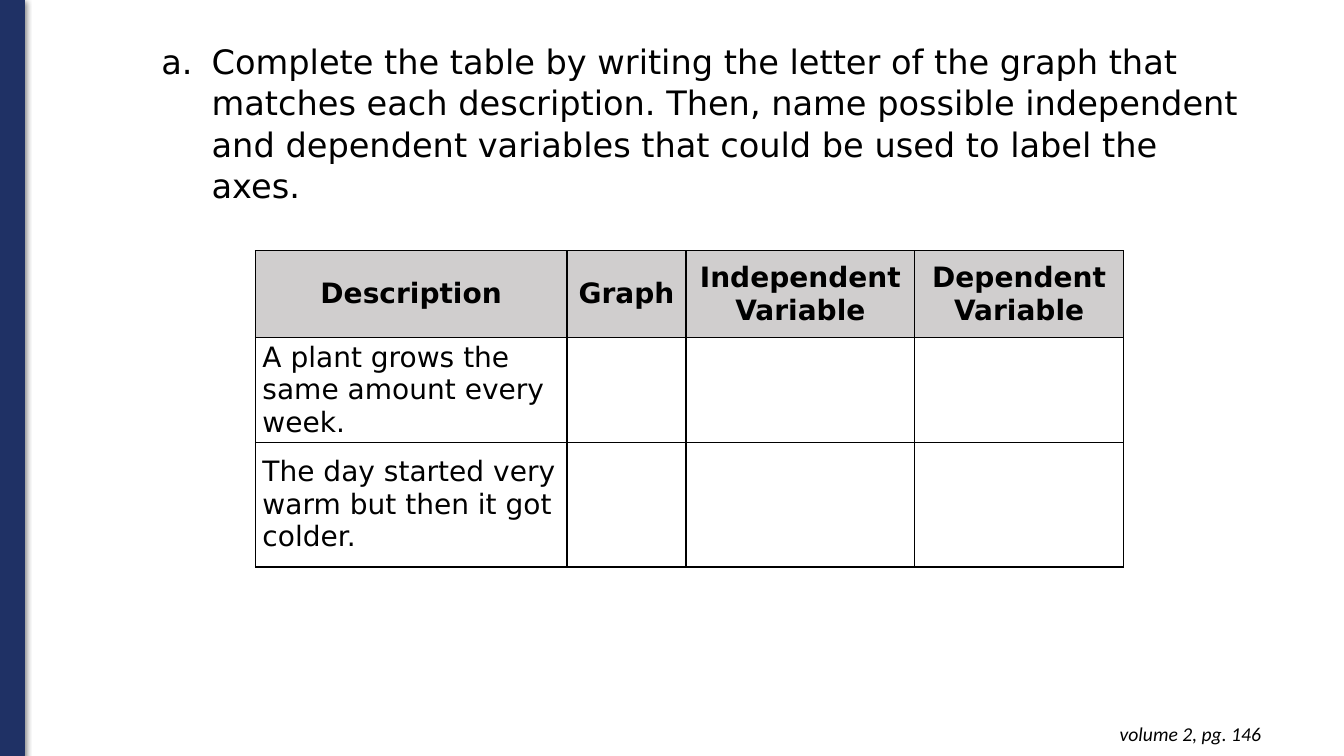
"""Build the slide with a task, a table to fill in and a page note."""
import pptx
import pptx.util
import pptx.oxml
import pptx.dml.color
import pptx.enum.text
import pptx.enum.shapes

Pt = pptx.util.Pt
Align = pptx.enum.text.PP_ALIGN
Anchor = pptx.enum.text.MSO_ANCHOR
Grow = pptx.enum.text.MSO_AUTO_SIZE.SHAPE_TO_FIT_TEXT
NS = 'xmlns:a="http://schemas.openxmlformats.org/drawingml/2006/main"'
SANS = "DejaVu Sans"
NAVY, BLACK, GREY, WHITE = "1F3165", "000000", "D0CECE", "FFFFFF"
WIDTHS = [222.5, 85, 163.5, 149]
HEIGHTS = [62, 75, 89]
ROWS = [
    ["Description", "Graph", "Independent Variable", "Dependent Variable"],
    ["A plant grows the same amount every week.", "", "", ""],
    ["The day started very warm but then it got colder.", "", "", ""],
]
TASK = ("Complete the table by writing the letter of the graph that matches "
        "each description. Then, name possible independent and dependent "
        "variables that could be used to label the axes.")


def tint(code):
    """Return the colour for a hex string."""
    return pptx.dml.color.RGBColor.from_string(code)


def append(parent, xml):
    """Append an element, given as text, to its parent."""
    parent.append(pptx.oxml.parse_xml(xml))


def style(para, face, size, bold=False, slant=False):
    """Format the runs of a paragraph."""
    for run in para.runs:
        font = run.font
        font.name, font.size = face, Pt(size)
        font.bold, font.italic = bold, slant
        font.color.rgb = tint(BLACK)


def draw_bar(slide, box):
    """Draw the navy side bar with its soft shadow."""
    kind = pptx.enum.shapes.MSO_SHAPE.RECTANGLE
    bar = slide.shapes.add_shape(kind, *map(Pt, box))
    bar.fill.solid()
    bar.fill.fore_color.rgb = tint(NAVY)
    bar.line.color.rgb = tint(NAVY)
    bar.line.width = Pt(0.75)
    append(bar.element.spPr,
           f'<a:effectLst {NS}><a:outerShdw blurRad="{Pt(4.5)}" '
           f'dist="{Pt(1.5)}" dir="5400000" rotWithShape="0">'
           f'<a:srgbClr val="{BLACK}"><a:alpha val="50000"/></a:srgbClr>'
           '</a:outerShdw></a:effectLst>')


def write_task(slide, box):
    """Put the lettered task into the body placeholder."""
    body = slide.placeholders[1]
    body.left, body.top, body.width, body.height = map(Pt, box)
    frame = body.text_frame
    frame.text = TASK
    frame.word_wrap = True
    frame.auto_size = Grow
    frame.vertical_anchor = Anchor.TOP
    para = frame.paragraphs[0]
    props = para._p.get_or_add_pPr()
    props.set("marL", str(Pt(72)))
    props.set("indent", str(Pt(-36)))
    append(props, f'<a:buClr {NS}><a:srgbClr val="{BLACK}"/></a:buClr>')
    append(props, f'<a:buFont {NS} typeface="{SANS}"/>')
    append(props, f'<a:buAutoNum {NS} type="alphaLcPeriod"/>')
    para.alignment = Align.LEFT
    para.space_before = Pt(0)
    para.line_spacing = 1.03
    style(para, SANS, 24)


def write_note(slide, box):
    """Write the page note, aligned right."""
    frame = slide.shapes.add_textbox(*map(Pt, box)).text_frame
    frame.text = "volume 2, pg. 146"
    frame.word_wrap = True
    frame.auto_size = Grow
    frame.margin_left = frame.margin_right = Pt(7.2)
    frame.margin_top = frame.margin_bottom = Pt(7.2)
    para = frame.paragraphs[0]
    para.alignment = Align.RIGHT
    style(para, "Calibri", 14, slant=True)


def fill_cell(cell, text, head):
    """Fill and border one table cell."""
    props = cell._tc.get_or_add_tcPr()
    for side in ("lnL", "lnR", "lnT", "lnB"):
        append(props, f'<a:{side} {NS} w="{Pt(1)}"><a:solidFill>'
               f'<a:srgbClr val="{BLACK}"/></a:solidFill></a:{side}>')
    cell.fill.solid()
    cell.fill.fore_color.rgb = tint(GREY if head else WHITE)
    cell.margin_left = cell.margin_right = Pt(5)
    cell.margin_top = cell.margin_bottom = Pt(0)
    cell.vertical_anchor = Anchor.MIDDLE
    cell.text_frame.text = text
    para = cell.text_frame.paragraphs[0]
    para.alignment = Align.CENTER if head else Align.LEFT
    style(para, SANS, 20, bold=head)


def draw_table(slide, left, top):
    """Draw the table of graphs from its top left corner."""
    size = left, top, sum(WIDTHS), sum(HEIGHTS)
    grid = slide.shapes.add_table(len(ROWS), len(WIDTHS), *map(Pt, size)).table
    for col, width in zip(grid.columns, WIDTHS):
        col.width = Pt(width)
    for row, height, texts in zip(grid.rows, HEIGHTS, ROWS):
        row.height = Pt(height)
        for cell, text in zip(row.cells, texts):
            fill_cell(cell, text, texts is ROWS[0])


def main():
    """Build and save the deck."""
    deck = pptx.Presentation()
    deck.slide_width, deck.slide_height = Pt(960), Pt(540)
    slide = deck.slides.add_slide(deck.slide_layouts[1])
    title = slide.shapes.title.element
    title.getparent().remove(title)
    draw_bar(slide, (0, 0, 17.5, 540))
    write_task(slide, (72, 24.5, 828, 124))
    write_note(slide, (700.5, 508.5, 207.5, 31.5))
    draw_table(slide, 182.5, 179)
    deck.save("out.pptx")


if __name__ == "__main__":
    main()
